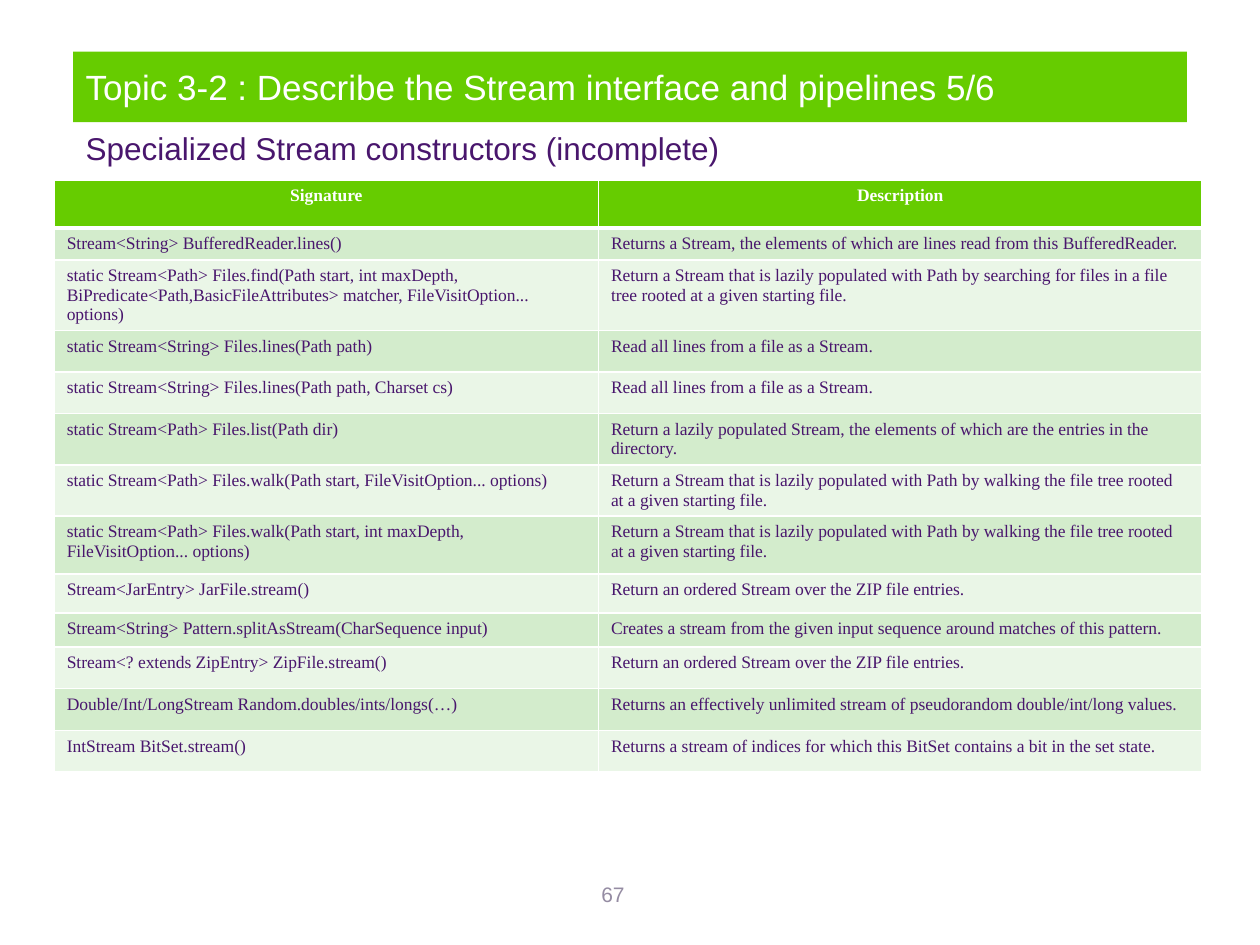
from dataclasses import dataclass
from typing import NamedTuple

from lxml import etree
from pptx import Presentation
from pptx.dml.color import RGBColor
from pptx.enum.text import MSO_ANCHOR, MSO_AUTO_SIZE, PP_ALIGN
from pptx.oxml.ns import qn
from pptx.util import Inches, Pt

LEFT, CENTER = PP_ALIGN.LEFT, PP_ALIGN.CENTER
TOP, MIDDLE = MSO_ANCHOR.TOP, MSO_ANCHOR.MIDDLE
NO_AUTOFIT = MSO_AUTO_SIZE.NONE


@dataclass(frozen=True)
class Theme:
    green: str = "66CC00"
    purple: str = "49166D"
    white: str = "FFFFFF"
    grey: str = "958CA3"
    bands: tuple = ("D3ECCC", "EAF6E7")
    sans: str = "Arial"
    serif: str = "Times New Roman"
    title_size: int = 20
    subtitle_size: int = 18
    number_size: int = 12
    table_size: int = 10
    border: int = 1
    header_border: int = 3


class Style(NamedTuple):
    font: str
    size: int
    color: str
    bold: bool = False
    align: PP_ALIGN = LEFT


class Box(NamedTuple):
    left: float
    top: float
    width: float
    height: float


class Row(NamedTuple):
    height: float
    signature: str
    description: str


THEME = Theme()
WALK_TEXT = ("Return a Stream that is lazily populated with Path by walking "
             "the file tree rooted at a given starting file.")
LINES_TEXT = "Read all lines from a file as a Stream."
ZIP_TEXT = "Return an ordered Stream over the ZIP file entries."
COLUMN_WIDTHS = (4.32, 4.79)
ROWS = [
    Row(0.38, "Signature", "Description"),
    Row(0.24, "Stream<String> BufferedReader.lines()",
        "Returns a Stream, the elements of which are lines read from this BufferedReader."),
    Row(0.25, "static Stream<Path> Files.find(Path start, int maxDepth, "
        "BiPredicate<Path,BasicFileAttributes> matcher, FileVisitOption... options)",
        "Return a Stream that is lazily populated with Path by searching for files "
        "in a file tree rooted at a given starting file."),
    Row(0.33, "static Stream<String> Files.lines(Path path)", LINES_TEXT),
    Row(0.33, "static Stream<String> Files.lines(Path path, Charset cs)", LINES_TEXT),
    Row(0.29, "static Stream<Path> Files.list(Path dir)",
        "Return a lazily populated Stream, the elements of which are the entries "
        "in the directory."),
    Row(0.29, "static Stream<Path> Files.walk(Path start, FileVisitOption... options)",
        WALK_TEXT),
    Row(0.46, "static Stream<Path> Files.walk(Path start, int maxDepth, "
        "FileVisitOption... options)", WALK_TEXT),
    Row(0.31, "Stream<JarEntry> JarFile.stream()", ZIP_TEXT),
    Row(0.27, "Stream<String> Pattern.splitAsStream(CharSequence input)",
        "Creates a stream from the given input sequence around matches of this pattern."),
    Row(0.33, "Stream<? extends ZipEntry> ZipFile.stream()", ZIP_TEXT),
    Row(0.33, "Double/Int/LongStream Random.doubles/ints/longs(…)",
        "Returns an effectively unlimited stream of pseudorandom double/int/long values."),
    Row(0.33, "IntStream BitSet.stream()",
        "Returns a stream of indices for which this BitSet contains a bit in the set state."),
]


def rgb(color: str) -> RGBColor:
    return RGBColor.from_string(color)


def write(tf, text: str, style: Style) -> None:
    tf.text = text
    p = tf.paragraphs[0]
    p.alignment = style.align
    font = p.runs[0].font
    font.name, font.size, font.bold = style.font, Pt(style.size), style.bold
    font.color.rgb = rgb(style.color)


def place_text(sp, box: Box, text: str, style: Style, anchor: MSO_ANCHOR) -> None:
    sp.left, sp.top, sp.width, sp.height = map(Inches, box)
    tf = sp.text_frame
    tf.word_wrap = True
    tf.auto_size = NO_AUTOFIT
    tf.vertical_anchor = anchor
    write(tf, text, style)


def remove_bullet(p) -> None:
    pPr = p._p.get_or_add_pPr()
    pPr.set("marL", "0")
    pPr.set("indent", "0")
    etree.SubElement(pPr, qn("a:buNone"))


def add_border(cell, side: str, width: int) -> None:
    ln = etree.SubElement(cell._tc.get_or_add_tcPr(), qn(f"a:ln{side}"), w=str(Pt(width)))
    fill = etree.SubElement(ln, qn("a:solidFill"))
    etree.SubElement(fill, qn("a:srgbClr"), val=THEME.white)


def format_cell(cell, text: str, row: int) -> None:
    header = row == 0
    widths = {"L": THEME.border, "R": THEME.border,
              "T": THEME.header_border if row == 1 else THEME.border,
              "B": THEME.header_border if header else THEME.border}
    for side, width in widths.items():
        add_border(cell, side, width)
    cell.fill.solid()
    cell.fill.fore_color.rgb = rgb(THEME.green if header else THEME.bands[(row - 1) % 2])
    write(cell.text_frame, text,
          Style(THEME.serif, THEME.table_size, THEME.white if header else THEME.purple,
                header, CENTER if header else LEFT))


def add_stream_table(s, left: float, top: float) -> None:
    width, height = sum(COLUMN_WIDTHS), sum(row.height for row in ROWS)
    table = s.shapes.add_table(len(ROWS), len(COLUMN_WIDTHS), Inches(left), Inches(top),
                               Inches(width), Inches(height)).table
    for column, column_width in zip(table.columns, COLUMN_WIDTHS):
        column.width = Inches(column_width)
    for i, row in enumerate(ROWS):
        table.rows[i].height = Inches(row.height)
        for j, text in enumerate((row.signature, row.description)):
            format_cell(table.cell(i, j), text, i)


def main() -> None:
    prs = Presentation()
    prs.slide_width, prs.slide_height = Inches(10), Inches(7.5)
    s = prs.slides.add_slide(prs.slide_layouts[1])

    title, body = s.shapes.title, s.placeholders[1]
    place_text(title, Box(0.58, 0.41, 8.84, 0.56),
               "Topic 3-2 : Describe the Stream interface and pipelines 5/6",
               Style(THEME.sans, THEME.title_size, THEME.white), MIDDLE)
    title.fill.solid()
    title.fill.fore_color.rgb = rgb(THEME.green)

    place_text(body, Box(0.58, 0.97, 8.84, 0.42),
               "Specialized Stream constructors (incomplete)",
               Style(THEME.sans, THEME.subtitle_size, THEME.purple), TOP)
    p = body.text_frame.paragraphs[0]
    p.space_before = Pt(1)
    remove_bullet(p)

    add_stream_table(s, 0.43, 1.43)

    number_box = Box(3.7, 6.95, 2.33, 0.4)
    number = s.shapes.add_textbox(*map(Inches, number_box))
    place_text(number, number_box, "67",
               Style(THEME.sans, THEME.number_size, THEME.grey, align=CENTER), TOP)

    prs.save("out.pptx")


if __name__ == "__main__":
    main()
